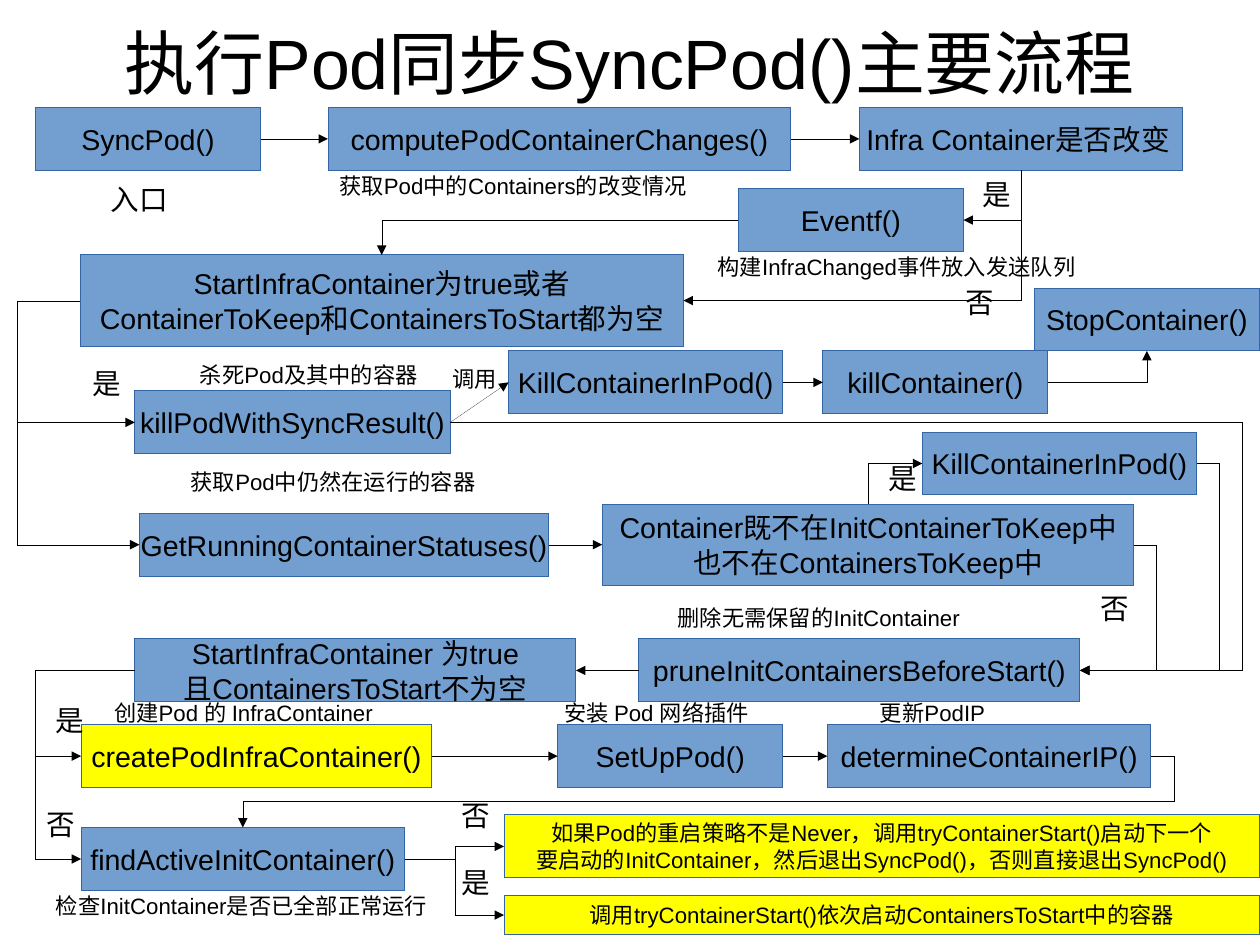
from dataclasses import dataclass
from enum import IntEnum

from lxml import etree
from pptx import Presentation, util as u
from pptx.dml.color import RGBColor
from pptx.enum import shapes, text
from pptx.oxml.ns import qn

BLUE, YELLOW, BORDER, BLACK = "729FCF", "FFFF00", "3465A4", "000000"
FONT = "Arial"
HAIRLINE = u.Emu(1)
PAGE_WIDTH, PAGE_HEIGHT = u.Emu(10080625), u.Emu(7559675)  # 28 by 21 cm


class Side(IntEnum):
    TOP = 0
    LEFT = 1
    BOTTOM = 2
    RIGHT = 3


TOP, LEFT, BOTTOM, RIGHT = Side


@dataclass(frozen=True)
class Box:
    key: str
    left: float
    top: float
    width: float
    words: str
    height: float = 0.55
    fill: str = BLUE
    size: int = 18


@dataclass(frozen=True)
class Label:
    left: float
    top: float
    width: float
    words: str
    size: int = 14


@dataclass(frozen=True)
class Link:
    start: str
    start_side: Side
    end: str
    end_side: Side
    bends: tuple[float, ...] = ()  # x, then y, of the inner segments


BOXES = [
    Box("sync", 0.31, 0.94, 1.97, "SyncPod()"),
    Box("changes", 2.87, 0.94, 4.05, "computePodContainerChanges()"),
    Box("infra", 7.52, 0.94, 2.83, "Infra Container是否改变 "),
    Box("event", 6.46, 1.65, 1.97, "Eventf()"),
    Box("start", 0.7, 2.23, 5.28,
        "StartInfraContainer为true或者\nContainerToKeep和ContainersToStart都为空", 0.8),
    Box("kill_pod", 1.18, 3.42, 2.76, "killPodWithSyncResult()"),
    Box("kill_in_pod", 4.45, 3.07, 2.4, "KillContainerInPod()"),
    Box("kill", 7.2, 3.07, 1.97, "killContainer()"),
    Box("stop", 9.05, 2.52, 1.97, "StopContainer()"),
    Box("kill_extra", 8.07, 3.78, 2.4, "KillContainerInPod()"),
    Box("running", 1.22, 4.49, 3.58, "GetRunningContainerStatuses()"),
    Box("unkept", 5.27, 4.41, 4.65,
        "Container既不在InitContainerToKeep中\n也不在ContainersToKeep中", 0.71),
    Box("prune", 5.59, 5.59, 3.86, "pruneInitContainersBeforeStart()"),
    Box("restart", 1.18, 5.59, 3.86, "StartInfraContainer 为true\n且ContainersToStart不为空"),
    Box("create", 0.71, 6.34, 3.07, "createPodInfraContainer()", fill=YELLOW),
    Box("set_up", 4.88, 6.34, 1.97, "SetUpPod()"),
    Box("pod_ip", 7.24, 6.34, 2.83, "determineContainerIP()"),
    Box("find", 0.71, 7.24, 2.83, "findActiveInitContainer()"),
    Box("next_init", 4.41, 7.13, 6.61,
        "如果Pod的重启策略不是Never，调用tryContainerStart()启动下一个\n"
        "要启动的InitContainer，然后退出SyncPod()，否则直接退出SyncPod()",
        fill=YELLOW, size=14),
    Box("start_all", 4.41, 7.83, 6.61,
        "调用tryContainerStart()依次启动ContainersToStart中的容器", 0.35, YELLOW, 14),
]

LINKS = [
    Link("sync", RIGHT, "changes", LEFT),
    Link("changes", RIGHT, "infra", LEFT),
    Link("infra", BOTTOM, "start", RIGHT),
    Link("infra", BOTTOM, "event", RIGHT),
    Link("event", LEFT, "start", TOP),
    Link("start", LEFT, "kill_pod", LEFT, (0.15,)),
    Link("start", LEFT, "running", LEFT, (0.15,)),
    Link("kill_pod", RIGHT, "kill_in_pod", LEFT),
    Link("kill_in_pod", RIGHT, "kill", LEFT),
    Link("kill", RIGHT, "stop", BOTTOM),
    Link("running", RIGHT, "unkept", LEFT),
    Link("unkept", TOP, "kill_extra", LEFT),
    Link("unkept", RIGHT, "prune", RIGHT, (10.12,)),
    Link("kill_extra", RIGHT, "prune", RIGHT, (10.67,)),
    Link("kill_pod", RIGHT, "prune", RIGHT, (10.87,)),
    Link("prune", LEFT, "restart", RIGHT),
    Link("restart", LEFT, "create", LEFT, (0.31,)),
    Link("restart", LEFT, "find", LEFT, (0.31,)),
    Link("create", RIGHT, "set_up", LEFT),
    Link("set_up", RIGHT, "pod_ip", LEFT),
    Link("pod_ip", RIGHT, "find", TOP, (10.28, 7.01)),
    Link("find", RIGHT, "next_init", LEFT, (3.98,)),
    Link("find", RIGHT, "start_all", LEFT, (3.98,)),
]

LABELS = [
    Label(0.87, 1.54, 0.87, "入口", 18),
    Label(2.87, 1.46, 3.53, "获取Pod中的Containers的改变情况"),
    Label(6.18, 2.17, 3.62, "构建InfraChanged事件放入发送队列"),
    Label(1.65, 3.11, 2.28, "杀死Pod及其中的容器"),
    Label(3.86, 3.15, 0.71, "调用"),
    Label(1.57, 4.05, 2.91, "获取Pod中仍然在运行的容器"),
    Label(5.83, 5.24, 2.91, "删除无需保留的InitContainer"),
    Label(0.9, 6.07, 2.8, "创建Pod 的 InfraContainer"),
    Label(4.84, 6.07, 2.05, "安装 Pod 网络插件"),
    Label(7.6, 6.07, 2.05, "更新PodIP"),
    Label(0.39, 7.76, 3.62, "检查InitContainer是否已全部正常运行"),
]
ANSWERS = {
    "是": [(8.5, 1.5), (0.71, 3.15), (7.68, 3.98), (0.39, 6.1), (3.94, 7.52)],
    "否": [(8.35, 2.44), (9.53, 5.12), (0.31, 7.01), (3.94, 6.93)],
}
LABELS += [Label(left, top, 0.47, word, 18)
           for word, spots in ANSWERS.items() for left, top in spots]


def paint(color_format, color: str) -> None:
    color_format.rgb = RGBColor.from_string(color)


def write(frame, words: str, size: int, align=text.PP_ALIGN.LEFT) -> None:
    frame.text = words
    for para in frame.paragraphs:
        para.alignment = align
        para.font.size = u.Pt(size)
        para.font.name = FONT
        paint(para.font.color, BLACK)


def draw_title(page, words: str) -> None:
    frame = page.shapes.add_textbox(
        u.Inches(0.55), u.Inches(-0.41), u.Inches(9.92), u.Inches(1.89)).text_frame
    frame.margin_left = frame.margin_right = frame.margin_top = frame.margin_bottom = 0
    frame.word_wrap = True
    frame.vertical_anchor = text.MSO_ANCHOR.MIDDLE
    write(frame, words, 44, text.PP_ALIGN.CENTER)


def draw_box(page, box: Box):
    shape = page.shapes.add_shape(
        shapes.MSO_SHAPE.RECTANGLE, u.Inches(box.left), u.Inches(box.top),
        u.Inches(box.width), u.Inches(box.height))
    shape.shadow.inherit = False
    shape.fill.solid()
    paint(shape.fill.fore_color, box.fill)
    paint(shape.line.color, BORDER)
    shape.line.width = HAIRLINE
    shape.text_frame.word_wrap = False
    shape.text_frame.vertical_anchor = text.MSO_ANCHOR.MIDDLE
    write(shape.text_frame, box.words, box.size, text.PP_ALIGN.CENTER)
    return shape


def draw_label(page, label: Label) -> None:
    frame = page.shapes.add_textbox(
        u.Inches(label.left), u.Inches(label.top),
        u.Inches(label.width), u.Inches(0.4)).text_frame
    frame.word_wrap = True
    frame.auto_size = text.MSO_AUTO_SIZE.SHAPE_TO_FIT_TEXT
    write(frame, label.words, label.size)


def draw_link(page, link: Link, drawn: dict) -> None:
    corner = {link.start_side, link.end_side} & {TOP, BOTTOM}
    elbow = bool(corner or link.bends)
    kind = shapes.MSO_CONNECTOR.ELBOW if elbow else shapes.MSO_CONNECTOR.STRAIGHT
    line = page.shapes.add_connector(kind, 0, 0, 0, 0)

    # Elbows leave horizontally, so one that starts vertically runs backwards
    ends = [(drawn[link.start], link.start_side), (drawn[link.end], link.end_side)]
    backwards = link.start_side in (TOP, BOTTOM)
    first, last = reversed(ends) if backwards else ends
    line.begin_connect(*first)
    line.end_connect(*last)
    paint(line.line.color, BLACK)
    line.line.width = HAIRLINE

    # Elbow shape, arrowhead and no shadow
    properties = line.element.spPr
    if elbow:
        geometry = properties.find(qn("a:prstGeom"))
        geometry.set("prst", f"bentConnector{len(link.bends) + 2}")
        guides = geometry.find(qn("a:avLst"))
        spans = [(line.begin_x, line.end_x), (line.begin_y, line.end_y)]
        for number, (bend, (begin, end)) in enumerate(zip(link.bends, spans), 1):
            ratio = (u.Inches(bend) - begin) / (end - begin)
            etree.SubElement(guides, qn("a:gd"), name=f"adj{number}",
                             fmla=f"val {round(ratio * 100000)}")
    arrow_end = "a:headEnd" if backwards else "a:tailEnd"
    etree.SubElement(properties.find(qn("a:ln")), qn(arrow_end), type="triangle")
    etree.SubElement(properties, qn("a:effectLst"))


def main() -> None:
    deck = Presentation()
    deck.slide_width, deck.slide_height = PAGE_WIDTH, PAGE_HEIGHT
    page = deck.slides.add_slide(deck.slide_layouts[6])
    draw_title(page, "执行Pod同步SyncPod()主要流程")
    drawn = {box.key: draw_box(page, box) for box in BOXES}
    for link in LINKS:
        draw_link(page, link, drawn)
    for label in LABELS:
        draw_label(page, label)
    deck.save("out.pptx")


if __name__ == "__main__":
    main()
